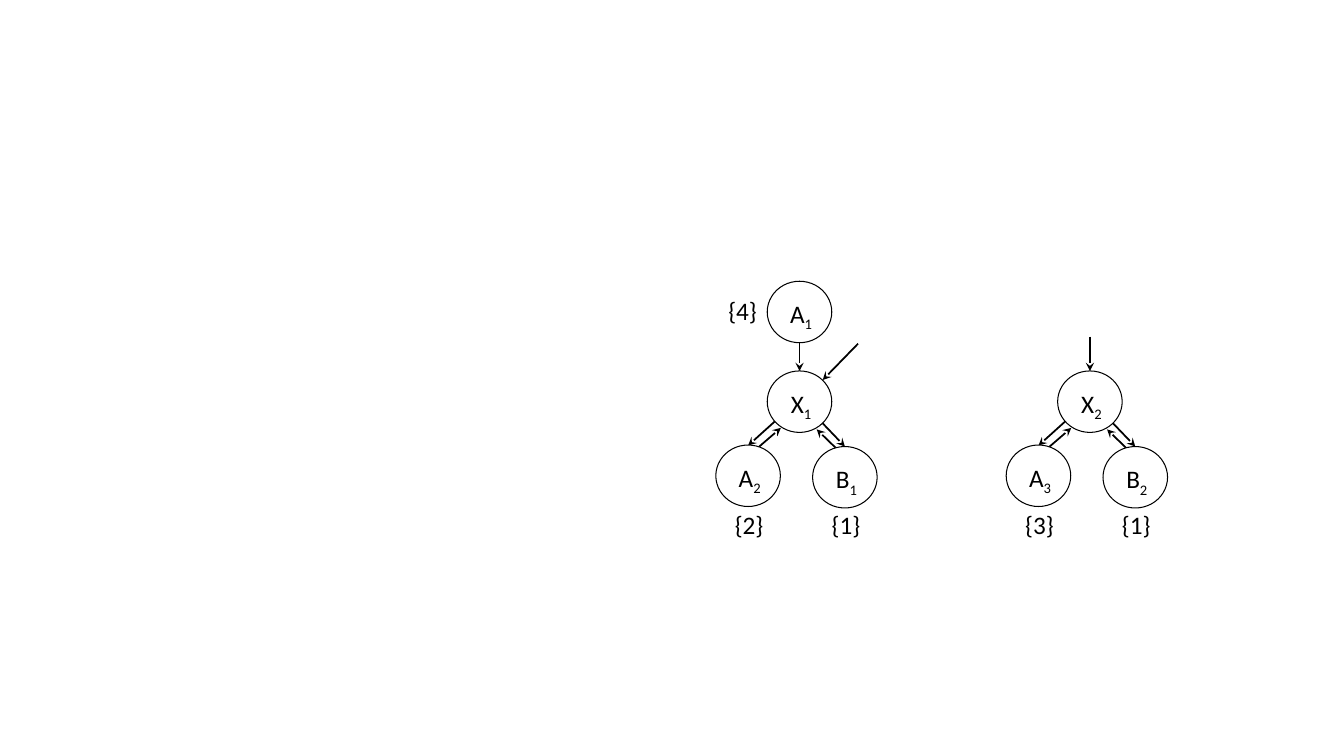
from lxml import etree
from pptx import Presentation
from pptx import util as u
from pptx.dml.color import RGBColor
from pptx.enum import shapes, text
from pptx.oxml.ns import qn

COLORS = {"ink": "000000", "node": "FFFFFF"}
CELL = 0.1  # inches per grid column and row


def cells(count):
    """Turn a number of grid cells into a length."""
    return u.Inches(count * CELL)


class Diagram:
    """Style and drawing methods for one slide, measured in grid cells."""

    font, size = "Calibri", 18
    node_width, node_height = 6.4, 6.1
    label_height = 4

    def __init__(self, slide):
        """Collect all elements of the slide in one group."""
        self.elements = slide.shapes.add_group_shape().shapes

    def color(self, name):
        """Look up a colour by its role."""
        return RGBColor.from_string(COLORS[name])

    def arrow(self, start, end):
        """Draw a line with a stealth head at its end."""
        link = self.elements.add_connector(
            shapes.MSO_CONNECTOR.STRAIGHT, *map(cells, (*start, *end)))
        link.line.color.rgb = self.color("ink")
        link.line.width = u.Pt(1.25)
        etree.SubElement(link.line._get_or_add_ln(), qn("a:tailEnd"), type="stealth")
        etree.SubElement(link._element.spPr, qn("a:effectLst"))

    def label(self, center, wording, subscript="", width=4.9):
        """Write centred text, with an optional subscript."""
        x, y = center
        box = self.elements.add_textbox(
            cells(x - width / 2), cells(y - self.label_height / 2),
            cells(width), cells(self.label_height))
        frame = box.text_frame
        frame.text = wording
        frame.word_wrap = False
        frame.auto_size = text.MSO_AUTO_SIZE.SHAPE_TO_FIT_TEXT
        line = frame.paragraphs[0]
        line.alignment = text.PP_ALIGN.CENTER
        if subscript:
            index = line.add_run()
            index.text = subscript
            index._r.get_or_add_rPr().set("baseline", "-25000")
        for run in line.runs:
            run.font.name = self.font
            run.font.size = u.Pt(self.size)
            run.font.color.rgb = self.color("ink")

    def node(self, center, letter, index):
        """Draw a circle with its indexed letter."""
        x, y = center
        circle = self.elements.add_shape(
            shapes.MSO_SHAPE.OVAL,
            cells(x - self.node_width / 2), cells(y - self.node_height / 2),
            cells(self.node_width), cells(self.node_height))
        circle.shadow.inherit = False
        circle.fill.solid()
        circle.fill.fore_color.rgb = self.color("node")
        circle.line.color.rgb = self.color("ink")
        circle.line.width = u.Pt(0.75)
        self.label((x + 0.15, y + 0.15), letter, index, width=4.2)


# Offsets from the centre of a tree's X node
A_CHILD, B_CHILD, PARENT = (-5.1, 7.35), (4.5, 7.5), (0, -8.9)
X_TOP = (0, -3.05)
CHILD_ARROWS = [
    ((0, -0.25), (-5.1, 4.35)), ((-6.95, 7), (-1.85, 2.6)),
    ((0, -0.25), (4.5, 4.45)), ((5.1, 6.05), (1.7, 2.75)),
]
TREES = [
    {"root": (79.3, 39.85), "x": "1", "a": ("2", "{2}"), "b": ("1", "{1}"),
     "entry": ((5.8, -5.75), (2.3, -2.15)), "parent": ("1", "{4}")},
    {"root": (108.1, 39.85), "x": "2", "a": ("3", "{3}"), "b": ("2", "{1}"),
     "entry": ((0, -6.45), X_TOP), "parent": None},
]


def draw_tree(diagram, tree):
    """Draw an X node with its children, its entry arrow and any parent."""
    def place(offset):
        """Shift an offset to the tree's root."""
        return tree["root"][0] + offset[0], tree["root"][1] + offset[1]

    arrows = CHILD_ARROWS + [tree["entry"]]
    if tree["parent"]:
        arrows = arrows + [(PARENT, X_TOP)]
    for start, end in arrows:
        diagram.arrow(place(start), place(end))

    diagram.node(place((0, 0)), "X", tree["x"])
    for letter, key, (dx, dy) in (("A", "a", A_CHILD), ("B", "b", B_CHILD)):
        index, value = tree[key]
        diagram.node(place((dx, dy)), letter, index)
        diagram.label(place((dx + 0.1, 12.2)), value)
    if tree["parent"]:
        index, value = tree["parent"]
        diagram.node(place(PARENT), "A", index)
        diagram.label(place((PARENT[0] - 5.65, PARENT[1] - 0.1)), value)


deck = Presentation()
deck.slide_width, deck.slide_height = u.Inches(13.33), u.Inches(7.5)
diagram = Diagram(deck.slides.add_slide(deck.slide_layouts.get_by_name("Blank")))
for tree in TREES:
    draw_tree(diagram, tree)
deck.save("out.pptx")
